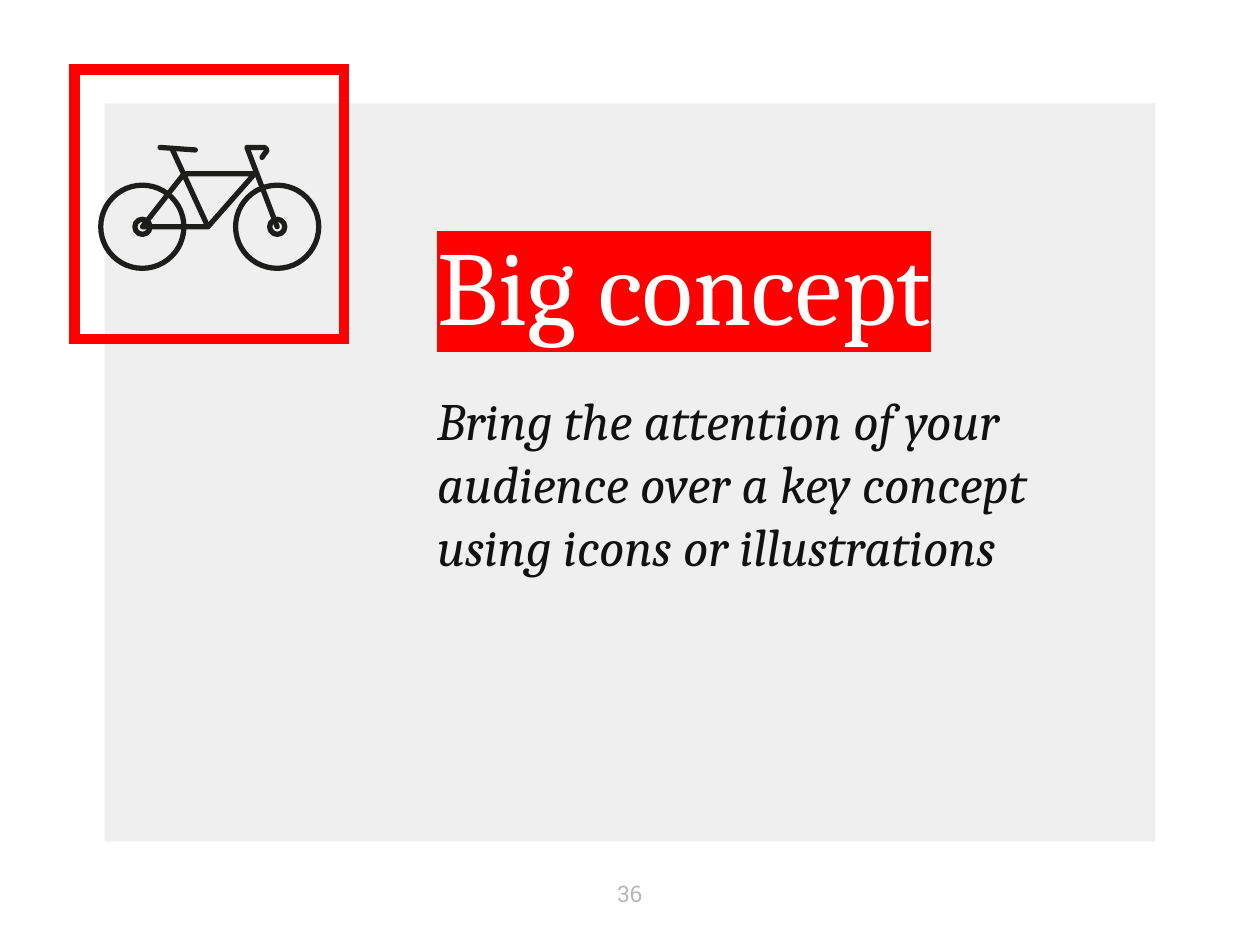
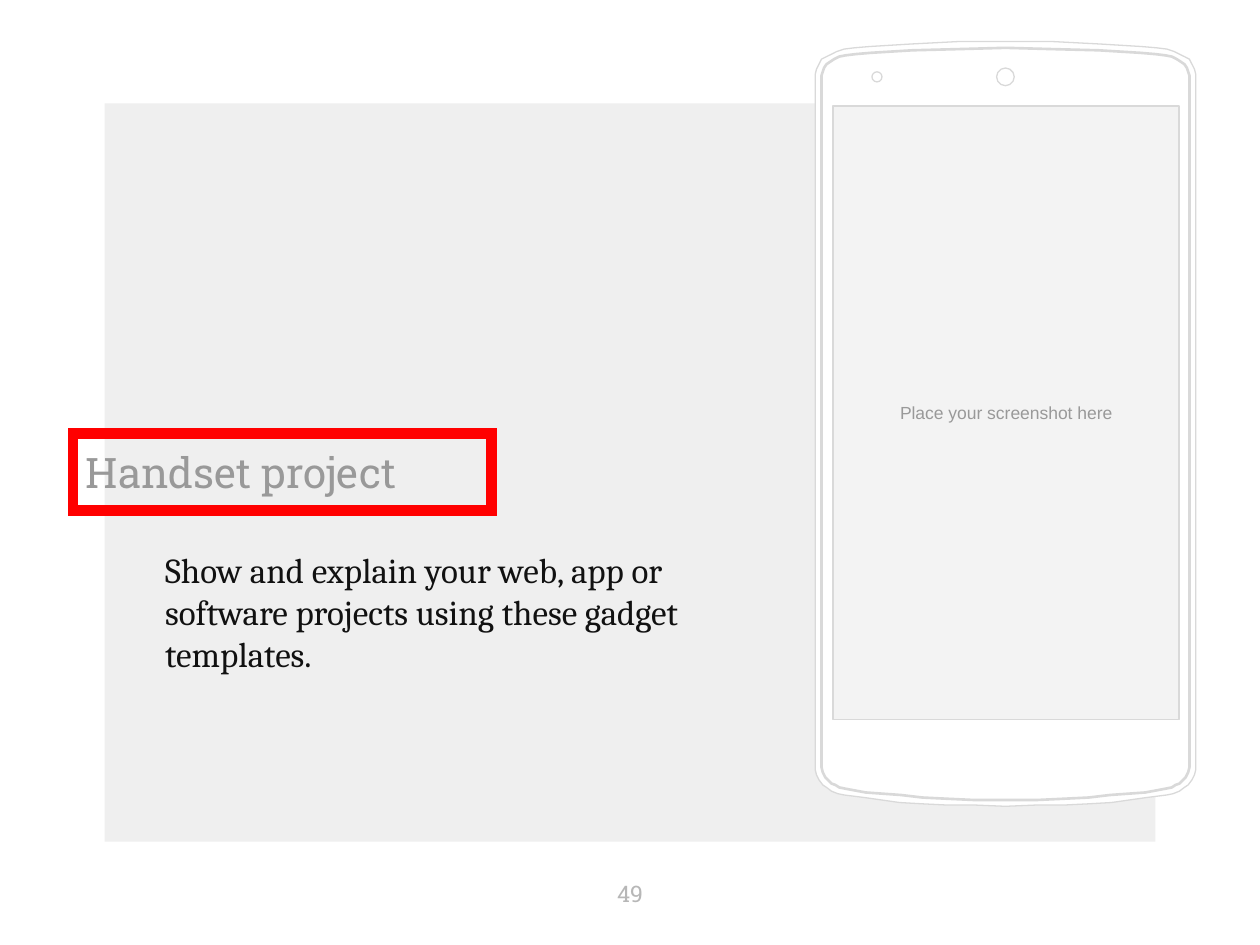
"""Build two slides: a big concept with a bicycle icon and a phone mock-up."""
from lxml.etree import SubElement
from pptx import Presentation
from pptx.dml.color import RGBColor
from pptx.enum.shapes import MSO_SHAPE
from pptx.enum.text import MSO_ANCHOR, MSO_AUTO_SIZE, PP_ALIGN
from pptx.oxml.ns import qn
from pptx.util import Inches, Pt

COLORS = {
    "panel": "EFEFEF",
    "accent": "FF0000",
    "white": "FFFFFF",
    "text": "111111",
    "icon": "1D1D1B",
    "outline": "D9D9D9",
    "screen": "F3F3F3",
    "muted": "999999",
    "number": "B7B7B7",
}
SERIF, SLAB, SANS = "Cambria", "Roboto Slab", "Arial"

PHONE_CENTER = 7.98
PHONE_EDGE = [
    (7.98, 0.33), (7.61, 0.33), (7.23, 0.35), (6.9, 0.37), (6.78, 0.38),
    (6.7, 0.39), (6.64, 0.41), (6.6, 0.43), (6.56, 0.45), (6.52, 0.47),
    (6.5, 0.51), (6.48, 0.55), (6.47, 0.59), (6.47, 0.65), (6.47, 6.05),
    (6.47, 6.11), (6.48, 6.15), (6.5, 6.19), (6.53, 6.23), (6.56, 6.25),
    (6.6, 6.28), (6.65, 6.3), (6.7, 6.31), (6.86, 6.33), (7.14, 6.37),
    (7.32, 6.38), (7.52, 6.39), (7.74, 6.39), (7.98, 6.4),
]
PHONE_RIM = [
    (7.98, 0.38), (7.62, 0.39), (7.24, 0.4), (6.91, 0.42), (6.79, 0.43),
    (6.71, 0.44), (6.66, 0.45), (6.62, 0.47), (6.59, 0.49), (6.56, 0.51),
    (6.54, 0.54), (6.53, 0.57), (6.52, 0.6), (6.52, 0.65), (6.52, 6.05),
    (6.52, 6.09), (6.53, 6.13), (6.55, 6.17), (6.57, 6.19), (6.6, 6.22),
    (6.63, 6.23), (6.66, 6.25), (6.71, 6.26), (6.87, 6.29), (7.15, 6.31),
    (7.32, 6.33), (7.52, 6.34), (7.74, 6.35), (7.98, 6.35),
]

BIKE_FRAME = [(1.37, 1.19), (1.65, 1.8), (2.02, 1.38), (1.46, 1.38),
              (1.13, 1.8), (1.65, 1.8)]
BIKE_HANDLEBAR = [(2.2, 1.8), (1.96, 1.17), (2.07, 1.17), (2.1, 1.17),
                  (2.11, 1.18), (2.12, 1.19), (2.11, 1.21), (2.1, 1.22),
                  (2.08, 1.25)]
BIKE_SADDLE = [(1.27, 1.17), (1.55, 1.19)]
WHEEL_CENTERS = [(1.13, 1.8), (2.2, 1.8)]
WHEEL_RADIUS, HUB_RADIUS = 0.33, 0.06


def color(name):
    """Return the named colour."""
    return RGBColor.from_string(COLORS[name])


def style_shape(shape, fill=None, line=None, width=0.75):
    """Set the fill and line of a shape, leaving out what is not named."""
    shape.shadow.inherit = False
    if fill:
        shape.fill.solid()
        shape.fill.fore_color.rgb = color(fill)
    else:
        shape.fill.background()
    if line:
        shape.line.color.rgb = color(line)
        shape.line.width = Pt(width)
    else:
        shape.line.fill.background()


def sharpen_corners(shape):
    """Give the line of a shape square corners."""
    SubElement(shape.line._get_or_add_ln(), qn("a:miter")).set("lim", "800000")


def add_preset(shapes, preset, box, **style):
    """Add a styled preset shape at the given box in inches."""
    shape = shapes.add_shape(preset, *map(Inches, box))
    style_shape(shape, **style)
    return shape


def add_circle(shapes, center, radius, **style):
    """Add a circle around a center point."""
    x, y = center
    box = (x - radius, y - radius, 2 * radius, 2 * radius)
    return add_preset(shapes, MSO_SHAPE.OVAL, box, **style)


def add_outline(shapes, points, close=False, **style):
    """Add a freeform through points given in inches."""
    corners = [(Inches(x), Inches(y)) for x, y in points]
    builder = shapes.build_freeform(*corners[0])
    builder.add_line_segments(corners[1:], close=close)
    shape = builder.convert_to_shape()
    style_shape(shape, **style)
    return shape


def write_text(shape, text, size, font, ink, align=PP_ALIGN.LEFT,
               anchor=MSO_ANCHOR.TOP, italic=False):
    """Write one run of text into a shape and return the run."""
    frame = shape.text_frame
    frame.word_wrap = True
    frame.auto_size = MSO_AUTO_SIZE.NONE
    frame.vertical_anchor = anchor
    frame.margin_left = frame.margin_right = Inches(0.1)
    frame.margin_top = frame.margin_bottom = Inches(0.1)
    paragraph = frame.paragraphs[0]
    paragraph.alignment = align
    paragraph.space_before = Pt(0)
    run = paragraph.add_run()
    run.text = text
    run.font.size = Pt(size)
    run.font.name = font
    run.font.italic = italic
    run.font.color.rgb = color(ink)
    return run


def place(shape, box):
    """Move and size a placeholder to a box in inches."""
    shape.left, shape.top, shape.width, shape.height = map(Inches, box)
    return shape


def remove_bullet(paragraph):
    """Turn off the bullet and the indent of a paragraph."""
    properties = paragraph._p.get_or_add_pPr()
    properties.set("marL", "0")
    properties.set("indent", "0")
    SubElement(properties, qn("a:buNone"))


def highlight(run, name):
    """Mark a run with a background colour."""
    properties = run._r.get_or_add_rPr()
    mark = SubElement(properties, qn("a:highlight"))
    SubElement(mark, qn("a:srgbClr")).set("val", COLORS[name])
    properties.find(qn("a:solidFill")).addnext(mark)


def add_base_slide(presentation, layout, number):
    """Add a slide with the grey panel at the back and a page number."""
    slide = presentation.slides.add_slide(presentation.slide_layouts[layout])
    panel = add_preset(slide.shapes, MSO_SHAPE.RECTANGLE,
                       (0.83, 0.82, 8.34, 5.86), fill="panel")
    slide.shapes._spTree.insert(2, panel._element)
    box = slide.shapes.add_textbox(*map(Inches, (4.7, 6.88, 0.6, 0.57)))
    write_text(box, number, 13, SLAB, "number", PP_ALIGN.CENTER)
    return slide


def add_bicycle(slide):
    """Draw the bicycle icon as one group."""
    shapes = slide.shapes.add_group_shape().shapes
    style = {"line": "icon", "width": 3}
    for points in (BIKE_FRAME, BIKE_HANDLEBAR, BIKE_SADDLE):
        part = add_outline(shapes, points, **style)
        part.line._get_or_add_ln().set("cap", "rnd")
    for center in WHEEL_CENTERS:
        for radius in (WHEEL_RADIUS, HUB_RADIUS):
            add_circle(shapes, center, radius, **style)


def add_phone(slide):
    """Draw the phone with its rim, camera, sensor and screen."""
    shapes = slide.shapes
    for half, fill, width in ((PHONE_EDGE, "white", 0.75),
                              (PHONE_RIM, None, 1.5)):
        mirrored = [(2 * PHONE_CENTER - x, y) for x, y in half[-2:0:-1]]
        add_outline(shapes, half + mirrored, close=True,
                    fill=fill, line="outline", width=width)
    for center, radius in (((6.96, 0.61), 0.04),
                           ((PHONE_CENTER, 0.61), 0.07)):
        add_circle(shapes, center, radius, line="outline")
    screen = add_preset(shapes, MSO_SHAPE.RECTANGLE, (6.61, 0.84, 2.75, 4.87),
                        fill="screen", line="outline", width=1)
    write_text(screen, "Place your screenshot here", 10, SANS, "muted",
               PP_ALIGN.CENTER, MSO_ANCHOR.MIDDLE)


def build_concept_slide(presentation):
    """Build the big concept slide."""
    slide = add_base_slide(presentation, 0, "36")
    title = place(slide.shapes.title, (3.37, 1.65, 5.14, 1.25))
    highlight(write_text(title, "Big concept", 60, SERIF, "white"), "accent")
    subtitle = place(slide.placeholders[1], (3.37, 2.98, 5.14, 1.75))
    write_text(subtitle, "Bring the attention of your audience over a key "
               "concept using icons or illustrations", 30, SERIF, "text",
               italic=True)
    frame = add_preset(slide.shapes, MSO_SHAPE.RECTANGLE,
                       (0.59, 0.55, 2.14, 2.14), line="accent", width=6)
    sharpen_corners(frame)
    add_bicycle(slide)


def build_phone_slide(presentation):
    """Build the phone project slide."""
    slide = add_base_slide(presentation, 1, "49")
    title = place(slide.shapes.title, (0.58, 3.44, 3.32, 0.61))
    style_shape(title, line="accent", width=6)
    sharpen_corners(title)
    write_text(title, "Handset project", 24, SLAB, "muted")
    body = place(slide.placeholders[1], (1.21, 4.25, 4.49, 1.94))
    remove_bullet(body.text_frame.paragraphs[0])
    write_text(body, "Show and explain your web, app or software projects "
               "using these gadget templates.", 20, SERIF, "text")
    add_phone(slide)


def main():
    """Build and save the presentation."""
    presentation = Presentation()
    presentation.slide_width = Inches(10)
    presentation.slide_height = Inches(7.5)
    build_concept_slide(presentation)
    build_phone_slide(presentation)
    presentation.save("out.pptx")


if __name__ == "__main__":
    main()
